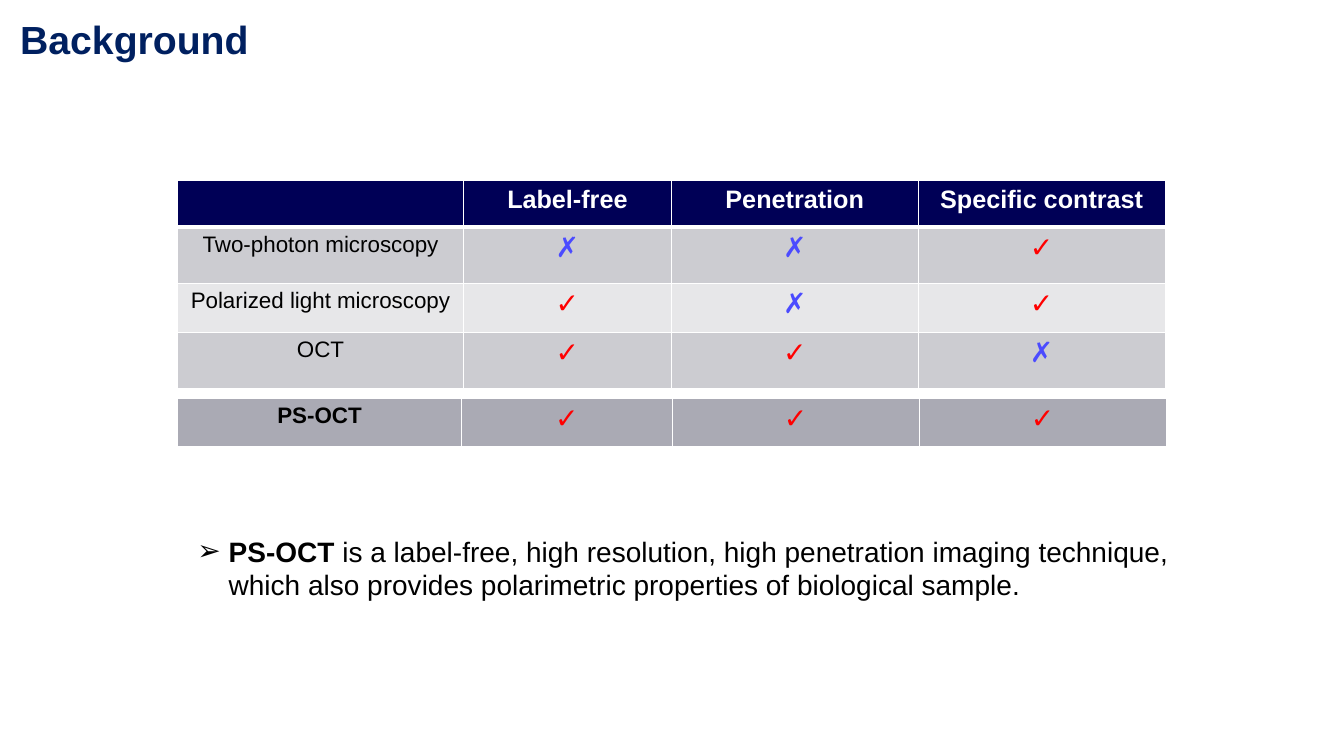
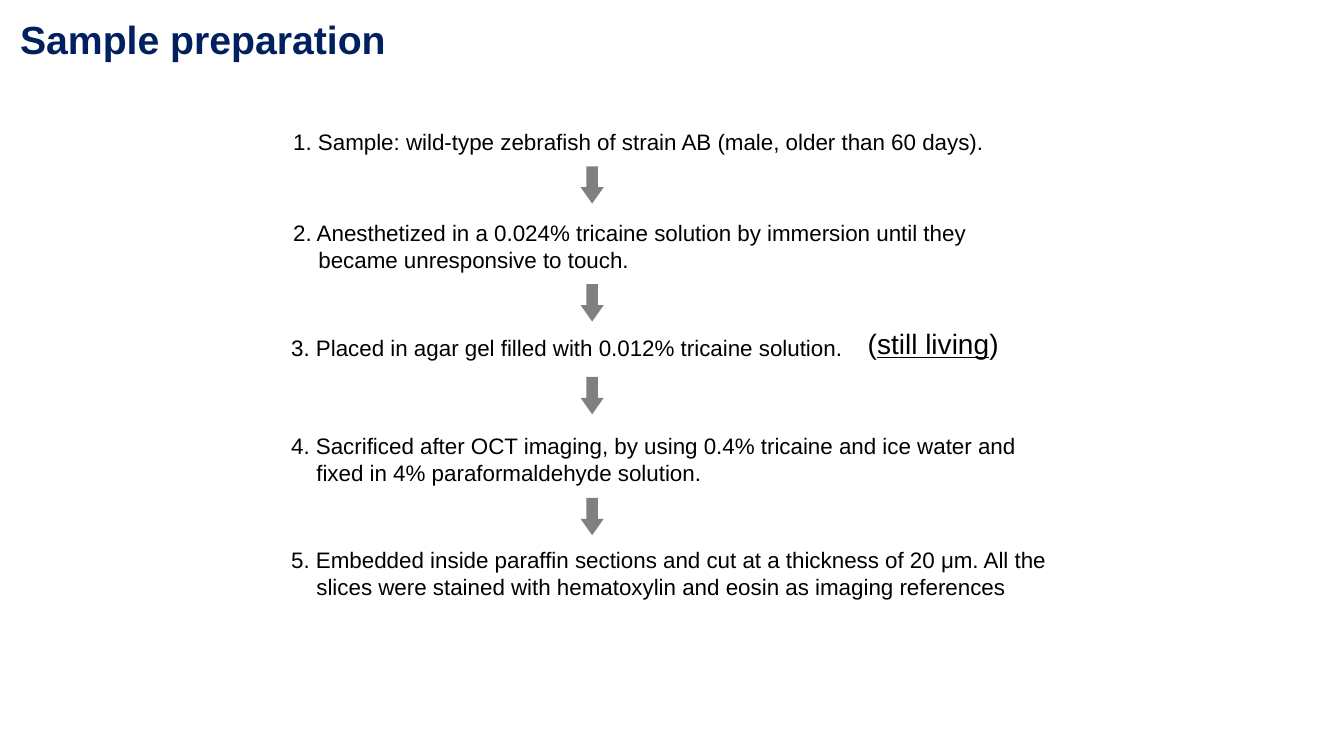
from dataclasses import dataclass
from typing import Any

from lxml import etree
from pptx import Presentation
from pptx import util as u
from pptx.dml import color
from pptx.enum import shapes, text
from pptx.oxml import ns

COLS, ROWS = 133.33, 75
UNIT = u.Inches(0.1)
FONT = "Arial"
NAVY, DARK, WHITE, BLACK = "002060", "000056", "FFFFFF", "000000"
RED, BLUE, GRAY = "FF0000", "4B4BFF", "808080"
BAND, PALE, STRONG = "CCCCD1", "E7E7E9", "AAAAB4"
MARKS = {"✓": RED, "✗": BLUE}
LEFT = u.Inches(0.2)


@dataclass(frozen=True)
class Box:
    x: float
    y: float
    w: float
    h: float


@dataclass(frozen=True)
class Run:
    text: str
    size: float
    ink: str = BLACK
    bold: bool = False
    line: bool = False


@dataclass(frozen=True)
class Row:
    cells: tuple[str, ...]
    high: float
    fill: str
    size: float = 16
    ink: str = BLACK
    bold: bool = False
    top: float = 1
    base: float = 1


@dataclass(frozen=True)
class Step:
    text: str
    x: float
    y: float
    w: float


HEAD = Row(("", "Label-free", "Penetration", "Specific contrast"),
           4.6, DARK, 18, WHITE, True, base=3)
BODY = [
    Row(("Two-photon microscopy", "✗", "✗", "✓"), 5.6, BAND, top=3),
    Row(("Polarized light microscopy", "✓", "✗", "✓"), 4.9, PALE),
    Row(("OCT", "✓", "✓", "✗"), 5.6, BAND),
]
LAST = Row(("PS-OCT", "✓", "✓", "✓"), 4.9, STRONG, bold=True, base=3)

STEPS = [
    Step("1. Sample: wild-type zebrafish of strain AB (male, older than 60 days).",
         28.1, 12.2, 70.8),
    Step("2. Anesthetized in a 0.024% tricaine solution by immersion until they\v"
         "became unresponsive to touch.", 28.1, 21.3, 75.9),
    Step("3. Placed in agar gel filled with 0.012% tricaine solution.",
         27.9, 32.7, 73.3),
    Step("4. Sacrificed after OCT imaging, by using 0.4% tricaine and ice water and\v"
         "fixed in 4% paraformaldehyde solution.", 27.9, 42.4, 76.7),
    Step("5. Embedded inside paraffin sections and cut at a thickness of 20 μm. All the\v"
         "slices were stained with hematoxylin and eosin as imaging references",
         27.9, 53.7, 80.5),
]
ARROWS = [16.5, 28.2, 37.4, 49.4]


def grid(n: float) -> int:
    return u.Emu(round(n * UNIT))


def place(box: Box) -> tuple[int, ...]:
    return tuple(grid(n) for n in (box.x, box.y, box.w, box.h))


def hue(code: str) -> color.RGBColor:
    return color.RGBColor.from_string(code)


def put(item: Any, vals: dict[str, Any]) -> None:
    for name, val in vals.items():
        setattr(item, name, val)


def paint(item: Any, code: str) -> None:
    item.fill.solid()
    item.fill.fore_color.rgb = hue(code)


def write(para: Any, runs: list[Run]) -> None:
    for part in runs:
        for i, piece in enumerate(part.text.split("\v")):
            if i:
                para.add_line_break()
            run = para.add_run()
            run.text = piece
            put(run.font, {"name": FONT, "size": u.Pt(part.size),
                           "bold": part.bold, "underline": part.line})
            run.font.color.rgb = hue(part.ink)


def hang(para: Any, inch: float, mark: str = "") -> None:
    props = para._p.get_or_add_pPr()
    props.set("marL", str(u.Inches(inch)))
    props.set("indent", str(-u.Inches(inch)))
    if mark:
        etree.SubElement(props, ns.qn("a:buFont"), typeface=FONT)
        etree.SubElement(props, ns.qn("a:buChar"), char=mark)


def label(slide: Any, box: Box, runs: list[Run], **vals: Any) -> Any:
    frame = slide.shapes.add_textbox(*place(box)).text_frame
    put(frame, {"word_wrap": True,
                "auto_size": text.MSO_AUTO_SIZE.SHAPE_TO_FIT_TEXT, **vals})
    para = frame.paragraphs[0]
    write(para, runs)
    return para


def start(deck: Any, title: str, wide: float) -> Any:
    slide = deck.slides.add_slide(deck.slide_layouts[6])
    para = label(slide, Box(0, 1.4, wide, 5.4), [Run(title, 28, NAVY, True)],
                 word_wrap=False, margin_left=LEFT)
    put(para, {"line_spacing": 0.95, "space_after": u.Pt(12.9)})
    return slide


def edge(cell: Any, row: Row) -> None:
    props = cell._tc.get_or_add_tcPr()
    for side, wide in (("L", 1), ("R", 1), ("T", row.top), ("B", row.base)):
        line = etree.SubElement(props, ns.qn(f"a:ln{side}"), w=str(u.Pt(wide)))
        fill = etree.SubElement(line, ns.qn("a:solidFill"))
        etree.SubElement(fill, ns.qn("a:srgbClr"), val=WHITE)


def chart(slide: Any, y: float, cols: list[float], rows: list[Row]) -> None:
    box = Box(17.6, y, sum(cols), sum(row.high for row in rows))
    table = slide.shapes.add_table(len(rows), len(cols), *place(box)).table
    put(table, {"first_row": False, "horz_banding": False})
    for col, wide in zip(table.columns, cols):
        col.width = grid(wide)
    for line, row in zip(table.rows, rows):
        line.height = grid(row.high)
        for cell, word in zip(line.cells, row.cells):
            edge(cell, row)
            paint(cell, row.fill)
            para = cell.text_frame.paragraphs[0]
            para.alignment = text.PP_ALIGN.CENTER
            size = 20 if word in MARKS else row.size
            if word:
                write(para, [Run(word, size, MARKS.get(word, row.ink), row.bold)])


def arrow(slide: Any, y: float) -> None:
    shape = slide.shapes.add_shape(shapes.MSO_SHAPE.DOWN_ARROW,
                                   *place(Box(57.6, y, 2.3, 3.7)))
    shape.adjustments[0], shape.adjustments[1] = 0.5, 0.71
    shape.shadow.inherit = False
    paint(shape, GRAY)
    shape.line.fill.background()


def background(deck: Any) -> None:
    slide = start(deck, "Background", 25.9)
    chart(slide, 17.9, [28.4, 20.6, 24.5, 24.5], [HEAD, *BODY])
    chart(slide, 39.5, [28.2, 20.9, 24.5, 24.5], [LAST])
    para = label(slide, Box(18.6, 52.5, 102.5, 7.7), [
        Run("PS-OCT", 20, bold=True),
        Run(" is a label-free, high resolution, high penetration imaging technique, "
            "which also provides polarimetric properties of biological sample.", 20),
    ])
    hang(para, 0.31, "➢")


def sample(deck: Any) -> None:
    slide = start(deck, "Sample preparation", 39.6)
    for step in STEPS:
        high = 3.7 + 2.7 * step.text.count("\v")
        para = label(slide, Box(step.x, step.y, step.w, high), [Run(step.text, 16)])
        hang(para, 0.25)
    for y in ARROWS:
        arrow(slide, y)
    label(slide, Box(85.1, 31.9, 17.2, 4.4),
          [Run("(", 20), Run("still living", 20, line=True), Run(")", 20)])


def main() -> None:
    deck = Presentation()
    put(deck, {"slide_width": grid(COLS), "slide_height": grid(ROWS)})
    for build in (background, sample):
        build(deck)
    deck.save("out.pptx")


if __name__ == "__main__":
    main()
